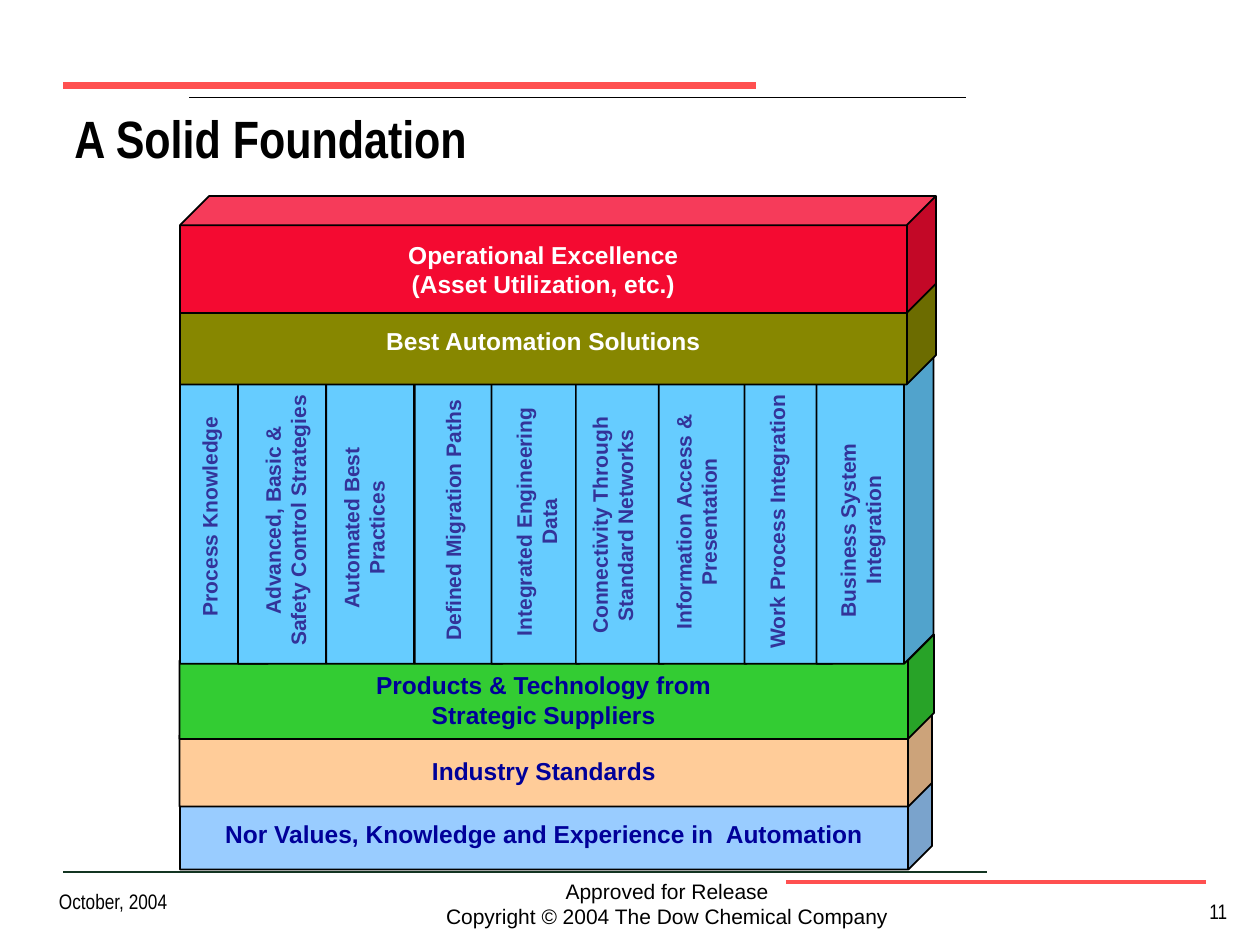
"""Build the "A Solid Foundation" slide: stacked layers around a row of pillars."""
from lxml import etree
from pptx import Presentation
from pptx.dml.color import RGBColor
from pptx.enum.shapes import MSO_CONNECTOR, MSO_SHAPE
from pptx.enum.text import MSO_ANCHOR, PP_ALIGN
from pptx.oxml.ns import qn
from pptx.util import Cm, Pt

STRAIGHT = MSO_CONNECTOR.STRAIGHT
CUBE = MSO_SHAPE.CUBE
LEFT, CENTER, RIGHT = PP_ALIGN.LEFT, PP_ALIGN.CENTER, PP_ALIGN.RIGHT
TOP, MIDDLE = MSO_ANCHOR.TOP, MSO_ANCHOR.MIDDLE

BLACK = RGBColor(0x00, 0x00, 0x00)
WHITE = RGBColor(0xFF, 0xFF, 0xFF)
CORAL = RGBColor(0xFF, 0x50, 0x50)
DARK_GREEN = RGBColor(0x13, 0x35, 0x22)
NAVY = RGBColor(0x00, 0x00, 0x99)
INDIGO = RGBColor(0x33, 0x33, 0x99)
PALE_BLUE = RGBColor(0x99, 0xCC, 0xFF)
PEACH = RGBColor(0xFF, 0xCC, 0x99)
GREEN = RGBColor(0x33, 0xCC, 0x33)
SKY = RGBColor(0x66, 0xCC, 0xFF)
OLIVE = RGBColor(0x87, 0x87, 0x00)
RED = RGBColor(0xF4, 0x0A, 0x31)

# left, right, height on the page, colour, width in points
RULES = [
    (1.27, 15.24, 1.73, CORAL, 4),
    (3.81, 19.48, 1.96, BLACK, 0.75),
    (1.27, 19.89, 17.58, DARK_GREEN, 0.75),
    (15.85, 24.31, 17.78, CORAL, 2.25),
]

# text, left, top, width, height, fill, text colour
LOWER_LAYERS = [
    ("Nor Values, Knowledge and Experience in  Automation",
     3.63, 15.62, 15.16, 1.91, PALE_BLUE, NAVY),
    ("Industry Standards", 3.62, 14.35, 15.17, 1.91, PEACH, NAVY),
    ("Products & Technology from\vStrategic Suppliers",
     3.62, 12.79, 15.21, 2.11, GREEN, NAVY),
]
UPPER_LAYERS = [
    ("Best Automation Solutions", 3.63, 5.39, 15.24, 2.36, OLIVE, WHITE),
    ("Operational Excellence\v(Asset Utilization, etc.)",
     3.63, 3.95, 15.24, 2.36, RED, WHITE),
]

# text, pillar left, label centre across, label centre down, label length, lines
PILLARS = [
    ("Process Knowledge", 3.63, 4.22, 10.41, 4.57, 1),
    ("Advanced, Basic & Safety Control Strategies", 4.8, 5.75, 10.49, 5.61, 2),
    ("Automated Best Practices", 6.58, 7.33, 10.64, 5.66, 2),
    ("Defined Migration Paths", 8.36, 9.13, 10.49, 5.82, 1),
    ("Integrated Engineering Data", 9.91, 10.81, 10.52, 5.66, 2),
    ("Connectivity Through Standard Networks", 11.61, 12.34, 10.59, 5.69, 2),
    ("Information Access & Presentation", 13.28, 14.03, 10.52, 5.66, 2),
    ("Work Process Integration", 15.01, 15.66, 10.52, 5.66, 1),
    ("Business System Integration", 16.46, 17.34, 10.69, 5.66, 2),
]
PILLAR_TOP, PILLAR_WIDTH, PILLAR_HEIGHT = 7.06, 2.36, 6.32
LABEL_HEIGHTS = {1: 0.76, 2: 1.27}

FOOTER = "Approved for Release\nCopyright © 2004 The Dow Chemical Company"


def write(shape, text, size, color, font="Arial", bold=False, align=LEFT,
          anchor=TOP, wrap=True, inset=0.25):
    frame = shape.text_frame
    frame.text = text
    frame.word_wrap = wrap
    frame.vertical_anchor = anchor
    frame.margin_left = frame.margin_right = Cm(inset)
    frame.margin_top = frame.margin_bottom = Cm(inset / 2)
    for paragraph in frame.paragraphs:
        paragraph.alignment = align
        for span in paragraph.runs:
            span.font.name = font
            span.font.size = Pt(size)
            span.font.bold = bold
            span.font.color.rgb = color


def add_text(page, left, top, width, height, text, size, color, **style):
    box = page.shapes.add_textbox(Cm(left), Cm(top), Cm(width), Cm(height))
    write(box, text, size, color, **style)
    return box


def add_rule(page, left, right, height, color, width):
    rule = page.shapes.add_connector(
        STRAIGHT, Cm(left), Cm(height), Cm(right), Cm(height))
    rule.line.color.rgb = color
    rule.line.width = Pt(width)
    etree.SubElement(rule.element.spPr, qn("a:effectLst"))


def add_cube(page, left, top, width, height, fill):
    cube = page.shapes.add_shape(CUBE, Cm(left), Cm(top), Cm(width), Cm(height))
    cube.adjustments[0] = 0.25
    cube.shadow.inherit = False
    cube.fill.solid()
    cube.fill.fore_color.rgb = fill
    cube.line.color.rgb = BLACK
    cube.line.width = Pt(1)
    return cube


def add_layers(page, layers):
    for text, left, top, width, height, fill, color in layers:
        cube = add_cube(page, left, top, width, height, fill)
        write(cube, text, 14, color, bold=True, align=CENTER,
              anchor=MIDDLE, wrap=False, inset=0.23)


def add_pillars(page):
    for pillar in PILLARS:
        add_cube(page, pillar[1], PILLAR_TOP, PILLAR_WIDTH, PILLAR_HEIGHT, SKY)
    for text, _, across, down, length, lines in PILLARS:
        height = LABEL_HEIGHTS[lines]
        label = add_text(page, across - length / 2, down - height / 2, length,
                         height, text, 12, INDIGO, bold=True, align=CENTER,
                         anchor=MIDDLE)
        label.rotation = 270


def main():
    deck = Presentation()
    deck.slide_width, deck.slide_height = Cm(25.4), Cm(19.05)
    page = deck.slides.add_slide(deck.slide_layouts[6])
    for rule in RULES:
        add_rule(page, *rule)
    add_text(page, 8.45, 17.6, 10, 1.24, FOOTER, 12, BLACK,
             align=CENTER, inset=0.23)
    title = add_text(page, 1.27, 2.21, 17.98, 1.78, "A Solid Foundation", 30,
                     BLACK, font="Arial Narrow", bold=True, inset=0.23)
    title.text_frame.paragraphs[0].line_spacing = 0.85
    add_layers(page, LOWER_LAYERS)
    add_pillars(page)
    add_layers(page, UPPER_LAYERS)
    add_text(page, 20.75, 17.98, 4.24, 0.84, "11", 12, BLACK,
             font="Arial Narrow", align=RIGHT)
    add_text(page, 0.94, 17.78, 5.28, 1.07, "October, 2004", 12, BLACK,
             font="Arial Narrow")
    deck.save("out.pptx")


if __name__ == "__main__":
    main()
